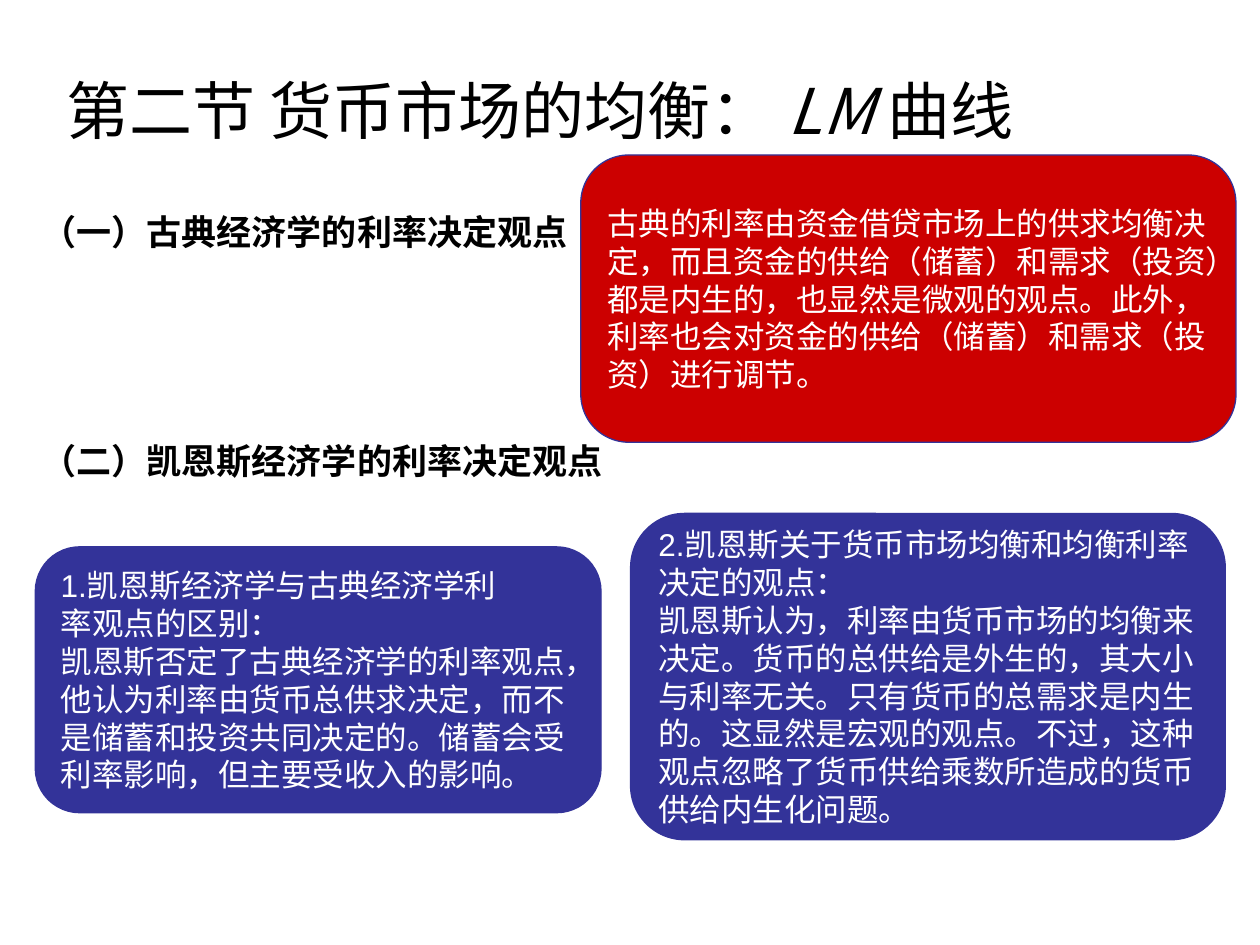
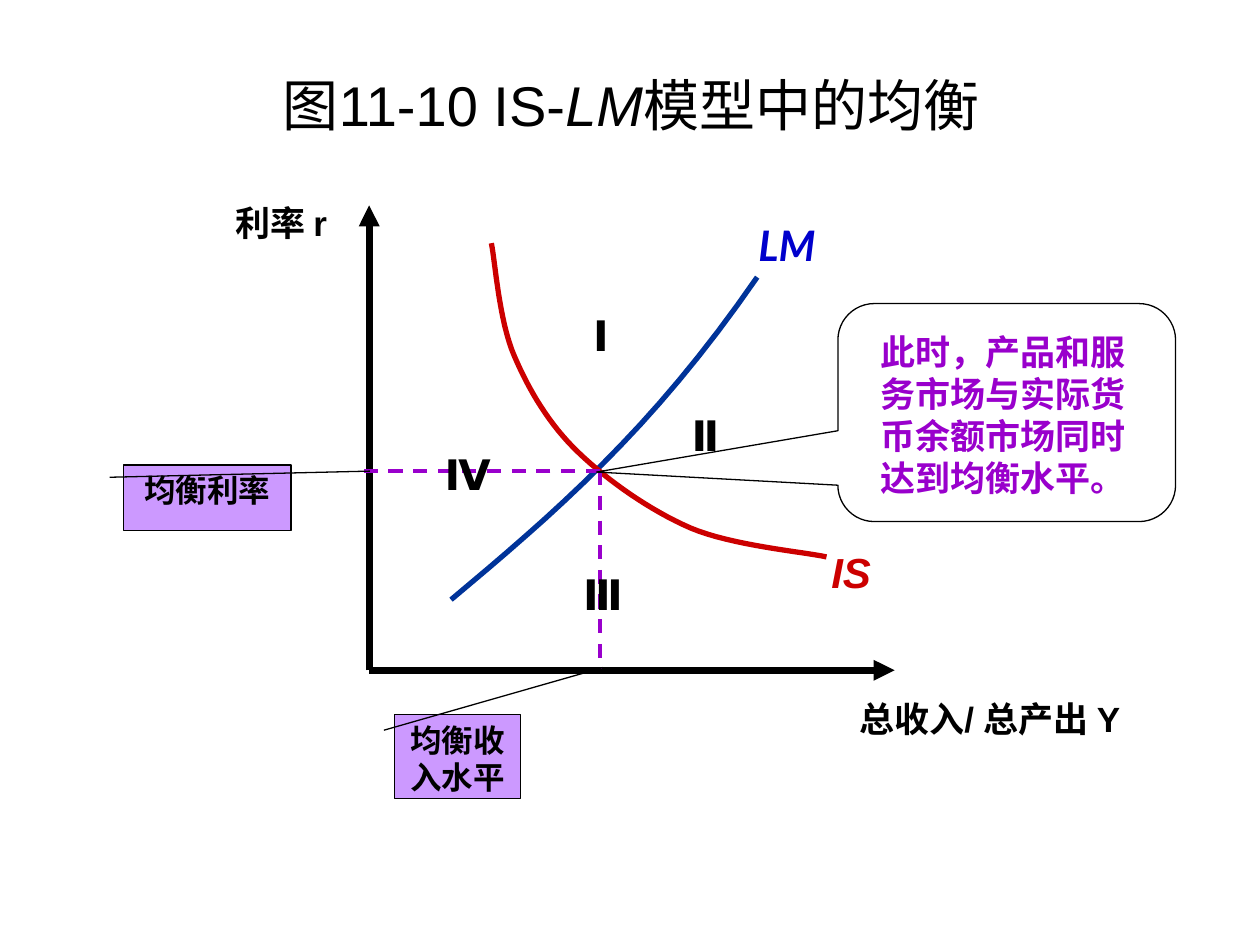
from lxml.etree import SubElement as Sub
from pptx import Presentation
from pptx.dml.color import RGBColor as RGB
from pptx.enum.dml import MSO_LINE as Dash
from pptx.enum.shapes import MSO_CONNECTOR as Conn, MSO_SHAPE as Kind
from pptx.enum.text import MSO_ANCHOR as Anchor, MSO_AUTO_SIZE as Fit, PP_ALIGN as Align
from pptx.oxml.ns import qn
from pptx.util import Pt

PX = 9144
HAN, SANS = "Noto Sans CJK SC", "Arial"
BLACK, WHITE = "000000", "FFFFFF"
RED, NAVY, VIOLET, LILAC = "CC0000", "333399", "9900CC", "CC99FF"


def emu(*nums):
    return [round(num * PX) for num in nums]


def tint(code):
    return RGB.from_string(code)


def write(frame, text, size=20, face=SANS, color=BLACK, bold=False, slant=False,
          align=Align.LEFT, anchor=Anchor.TOP, wrap=True, gap=0, plain=False):
    frame.word_wrap = wrap
    frame.auto_size = Fit.NONE
    frame.vertical_anchor = anchor
    frame.margin_left, frame.margin_right = emu(10, 10)
    frame.margin_top, frame.margin_bottom = emu(5, 5)
    for row, line in enumerate(text.split("\n")):
        para = frame.add_paragraph() if row else frame.paragraphs[0]
        if plain:
            props = para._p.get_or_add_pPr()
            props.set("marL", "0")
            props.set("indent", "0")
            Sub(props, qn("a:buNone"))
        para.alignment = align
        para.space_before = Pt(gap if row else 0)
        for turn, part in enumerate(line.split("*")):
            run = para.add_run()
            run.text = part
            font = run.font
            font.size, font.bold, font.name = Pt(size), bold, face
            font.italic = slant or turn % 2 == 1
            font.color.rgb = tint(color)
            Sub(run._r.get_or_add_rPr(), qn("a:ea"), typeface=HAN)


def place(shape, box):
    shape.left, shape.top, shape.width, shape.height = emu(*box)


def title(slide, box, text, **style):
    place(slide.shapes.title, box)
    write(slide.shapes.title.text_frame, text, anchor=Anchor.MIDDLE, **style)


def label(slide, box, text, **style):
    area = slide.shapes.add_textbox(*emu(*box))
    write(area.text_frame, text, **{"bold": True, **style})


def panel(slide, kind, box, fill=None, edge=None, adjust=()):
    shape = slide.shapes.add_shape(kind, *emu(*box))
    shape.shadow.inherit = False
    for spot, value in enumerate(adjust):
        shape.adjustments[spot] = value
    if fill:
        shape.fill.solid()
        shape.fill.fore_color.rgb = tint(fill)
    else:
        shape.fill.background()
    if edge:
        shape.line.color.rgb = tint(edge)
        shape.line.width = Pt(0.75)
    else:
        shape.line.fill.background()
    return shape


def card(slide, box, text, fill, edge=None, wrap=False):
    shape = panel(slide, Kind.ROUNDED_RECTANGLE, box, fill, edge, [0.167])
    write(shape.text_frame, text, size=18, color=WHITE, anchor=Anchor.MIDDLE, wrap=wrap)


def tag(slide, box, text, tip):
    shape = panel(slide, Kind.LINE_CALLOUT_1, box, LILAC, BLACK, (0.188, -0.083, *tip))
    write(shape.text_frame, text, size=18, bold=True, align=Align.CENTER)


def rule(slide, start, end, color, width, dash=None, arrow=False):
    link = slide.shapes.add_connector(Conn.STRAIGHT, *emu(*start, *end))
    link.line.color.rgb = tint(color)
    link.line.width = Pt(width)
    if dash:
        link.line.dash_style = dash
    if arrow:
        Sub(link.line._get_or_add_ln(), qn("a:tailEnd"), type="triangle")
    Sub(link._element.spPr, qn("a:effectLst"))


def bend(a, b, c, d, steps=16):
    for step in range(1, steps + 1):
        t = step / steps
        u = 1 - t
        yield emu(*(u**3 * p + 3 * u * u * t * q + 3 * u * t * t * r + t**3 * s
                    for p, q, r, s in zip(a, b, c, d)))


def curve(slide, knots, color):
    dots = [dot for i in range(0, len(knots) - 1, 3) for dot in bend(*knots[i:i + 4])]
    pen = slide.shapes.build_freeform(*emu(*knots[0]))
    pen.add_line_segments(dots, close=False)
    shape = pen.convert_to_shape()
    shape.shadow.inherit = False
    shape.fill.background()
    shape.line.color.rgb = tint(color)
    shape.line.width = Pt(3)


def views(deck):
    slide = deck.slides.add_slide(deck.slide_layouts[1])
    title(slide, (43, 17, 900, 140), "第二节 货币市场的均衡： *LM* 曲线", size=36, face=HAN)
    body = slide.placeholders[1]
    place(body, (23, 162, 977, 445))
    write(body.text_frame, "（一）古典经济学的利率决定观点\n（二）凯恩斯经济学的利率决定观点",
          bold=True, gap=107, plain=True)
    card(slide, (461, 123, 520, 228),
         "古典的利率由资金借贷市场上的供求均衡决\n"
         "定，而且资金的供给（储蓄）和需求（投资）\n"
         "都是内生的，也显然是微观的观点。此外，\n"
         "利率也会对资金的供给（储蓄）和需求（投\n"
         "资）进行调节。", RED, NAVY)
    card(slide, (28, 434, 449, 211),
         "1.凯恩斯经济学与古典经济学利\n"
         "率观点的区别：\n"
         "凯恩斯否定了古典经济学的利率观点，他认为利率由货币总供求决定，"
         "而不是储蓄和投资共同决定的。储蓄会受利率影响，但主要受收入的影响。",
         NAVY, NAVY, wrap=True)
    card(slide, (500, 407, 473, 260),
         "2.凯恩斯关于货币市场均衡和均衡利率\n"
         "决定的观点：\n"
         "凯恩斯认为，利率由货币市场的均衡来\n"
         "决定。货币的总供给是外生的，其大小\n"
         "与利率无关。只有货币的总需求是内生\n"
         "的。这显然是宏观的观点。不过，这种\n"
         "观点忽略了货币供给乘数所造成的货币\n"
         "供给内生化问题。", NAVY)


def model(deck):
    slide = deck.slides.add_slide(deck.slide_layouts[5])
    title(slide, (51, 36, 900, 94), "图11-10 IS-*LM*模型中的均衡", size=32, align=Align.CENTER)
    zero, meet = (293, 532), (476, 374)
    for end in ((293, 163), (710, 532)):
        rule(slide, zero, end, BLACK, 4, arrow=True)
    label(slide, (177, 155, 124, 44), "利率 r")
    label(slide, (672, 549, 238, 77), "总收入/ 总产出 Y")

    curve(slide, [(358, 476), (438, 409), (517, 342), (601, 220)], "003399")
    label(slide, (592, 169, 90, 50), "LM", size=24, face="Lato", color="0000CC", slant=True)
    label(slide, (650, 429, 87, 50), "IS", size=24, color=RED, slant=True)
    curve(slide, [(390, 193), (393, 207), (396, 254), (408, 282), (420, 310),
                  (436, 337), (459, 359), (483, 382), (516, 405), (548, 419),
                  (581, 433), (638, 438), (656, 442)], RED)

    for end in ((287, 374), (476, 531)):
        rule(slide, meet, end, VIOLET, 2, dash=Dash.DASH)
    tag(slide, (98, 369, 133, 52), "均衡利率", (0.094, 1.471))
    tag(slide, (313, 567, 100, 67), "均衡收入水平", (-0.555, 1.656))

    panel(slide, Kind.ROUNDED_RECTANGULAR_CALLOUT, (665, 241, 268, 173),
          edge=BLACK, adjust=(-1.215, 0.273, 0.167))
    label(slide, (689, 257, 236, 144),
          "此时，产品和服务市场与实际货币余额市场同时达到均衡水平。", color=VIOLET)
    for x, y, name in ((461, 241, "Ⅰ"), (343, 351, "Ⅳ"), (453, 446, "Ⅲ"), (539, 320, "Ⅱ")):
        label(slide, (x, y, 62, 50), name, size=24)


def main():
    deck = Presentation()
    deck.slide_width, deck.slide_height = emu(1000, 750)
    views(deck)
    model(deck)
    deck.save("out.pptx")


if __name__ == "__main__":
    main()
